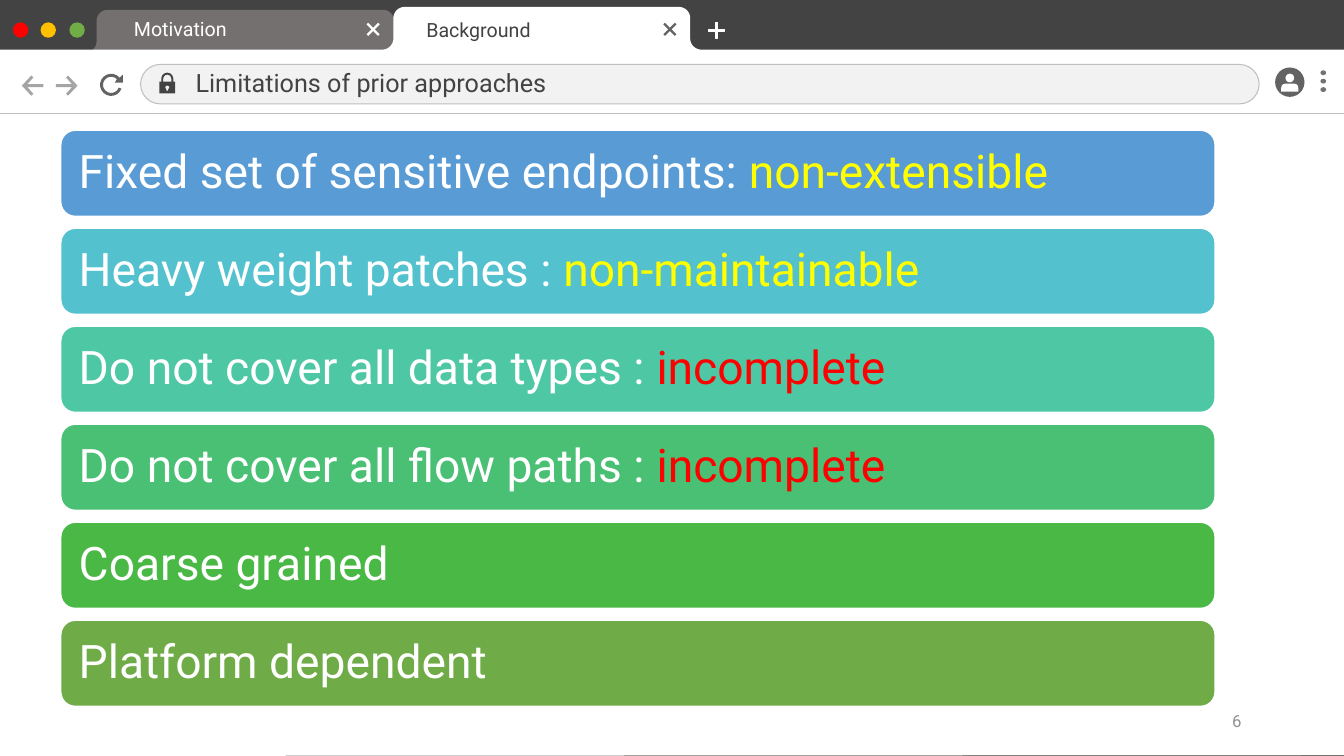
from math import cos, radians, sin

from lxml.etree import SubElement
from pptx import Presentation
from pptx.dml.color import RGBColor
from pptx.enum.shapes import MSO_CONNECTOR, MSO_SHAPE
from pptx.enum.text import MSO_ANCHOR, MSO_AUTO_SIZE, PP_ALIGN
from pptx.oxml.ns import qn
from pptx.util import Pt

FONT = "Roboto"
WHITE = RGBColor(0xFF, 0xFF, 0xFF)
YELLOW = RGBColor(0xFF, 0xFF, 0x00)
RED = RGBColor(0xFF, 0x00, 0x00)
AMBER = RGBColor(0xFF, 0xC0, 0x00)
GREEN = RGBColor(0x70, 0xAD, 0x47)
DARK = RGBColor(0x43, 0x43, 0x43)
TAB = RGBColor(0x75, 0x70, 0x70)
FIELD = RGBColor(0xF2, 0xF2, 0xF2)
EDGE = RGBColor(0xBF, 0xBF, 0xBF)
ARROW = RGBColor(0xA5, 0xA5, 0xA5)
ICON = RGBColor(0x63, 0x63, 0x63)
DOT = RGBColor(0x72, 0x72, 0x72)
NUMBER = RGBColor(0x91, 0x91, 0x91)
BLUE = RGBColor(0x59, 0x9B, 0xD5)
CYAN = RGBColor(0x53, 0xC1, 0xCE)
TEAL = RGBColor(0x4E, 0xC7, 0xA5)
MINT = RGBColor(0x49, 0xC0, 0x73)
LEAF = RGBColor(0x49, 0xB8, 0x45)
OLIVE = RGBColor(0x6F, 0xAB, 0x46)


def arc(x, y, radius, start, end, steps=16):
    """Points on a circle around (x, y), with clockwise angles in degrees."""
    turns = [radians(start + (end - start) * i / steps) for i in range(steps + 1)]
    return [(x + radius * cos(t), y + radius * sin(t)) for t in turns]


def paint(shape, fill, line=None, width=0.75):
    shape.shadow.inherit = False
    if fill is None:
        shape.fill.background()
    else:
        shape.fill.solid()
        shape.fill.fore_color.rgb = fill
    if line is None:
        shape.line.fill.background()
    else:
        shape.line.color.rgb = line
        shape.line.width = Pt(width)


deck = Presentation()
deck.slide_width, deck.slide_height = Pt(960), Pt(540)
slide = deck.slides.add_slide(deck.slide_layouts[5])
slide.background.fill.solid()
slide.background.fill.fore_color.rgb = DARK
shapes = slide.shapes

# Browser window: each tab flares out into the page below it
outlines = []
curve = 8
for left, right, top, base, foot, color in [
    (69, 281.5, 7, 37.5, 540, TAB),
    (281, 493, 5, 35.5, 539.3, WHITE),
]:
    points = arc(left - curve, base - curve, curve, 90, 0)
    points += arc(left + curve, top + curve, curve, 180, 270)
    points += arc(right - curve, top + curve, curve, 270, 360)
    points += arc(right + curve, base - curve, curve, 180, 90)
    points += [(960, base), (960, foot), (0, 540), (0, base)]
    outlines.append((points, color))

# Back and forward arrows
half = [(-7.8, 0), (-1, -7.2), (0.4, -5.8), (-3.8, -1.1), (7.6, -1.1)]
back = half + [(x, -y) for x, y in half[:0:-1]]
for middle, side in [(23.4, 1), (47.6, -1)]:
    outlines.append(([(middle + side * x, 61.2 + y) for x, y in back], ARROW))

# Reload
ring = arc(79.4, 60.6, 5.8, 315, 20) + arc(79.4, 60.6, 7.9, 20, 320)
outlines.append((ring + [(87.8, 53.3), (87.8, 59), (82, 59)], ICON))

for points, color in outlines:
    (x, y), *rest = [(Pt(a), Pt(b)) for a, b in points]
    pen = shapes.build_freeform(x, y)
    pen.add_line_segments(rest)
    paint(pen.convert_to_shape(), color)

# Preset shapes: kind, box, fill, line, line width, rotation, adjustment
oval, block = MSO_SHAPE.OVAL, MSO_SHAPE.RECTANGLE
cross, arch = MSO_SHAPE.CROSS, MSO_SHAPE.ROUND_2_SAME_RECTANGLE
parts = [
    (oval, (9.3, 16, 11, 11), RED, None, 0, 0, None),
    (oval, (29, 16, 11, 11), AMBER, None, 0, 0, None),
    (oval, (49.6, 16, 11, 11), GREEN, None, 0, 0, None),
    (cross, (260.7, 15.2, 11.6, 11.6), WHITE, None, 0, 45, 0.43),
    (cross, (472.7, 15.2, 11.6, 11.6), ICON, None, 0, 45, 0.43),
    (cross, (506.3, 16, 11.2, 11.2), WHITE, WHITE, 0.75, 0, 0.44),
    (MSO_SHAPE.ROUNDED_RECTANGLE, (100.4, 46, 799, 28.2), FIELD, EDGE, 0.75, 0, 0.5),
    # Padlock
    (arch, (115.9, 52.6, 7.2, 8), None, DARK, 1.4, 0, 0.5),
    (block, (113.8, 58.3, 11.4, 8.4), DARK, None, 0, 0, None),
    (oval, (118.1, 61.2, 2.8, 2.4), FIELD, None, 0, 0, None),
    (block, (118.9, 63, 1.2, 1.8), FIELD, None, 0, 0, None),
    # Account
    (oval, (910.8, 48.2, 21, 21), ICON, None, 0, 0, None),
    (oval, (918.2, 52.6, 6.2, 6.2), WHITE, None, 0, 0, None),
    (arch, (915.2, 59.8, 12.2, 5.6), WHITE, None, 0, 0, 0.5),
]
parts += [(oval, (943.2, 50.3 + 6 * i, 4, 3.4), DOT, None, 0, 0, None) for i in range(3)]
for kind, box, fill, line, width, turn, bend in parts:
    part = shapes.add_shape(kind, *map(Pt, box))
    paint(part, fill, line, width)
    part.rotation = turn
    if bend is not None:
        part.adjustments[0] = bend

rule = shapes.add_connector(MSO_CONNECTOR.STRAIGHT, Pt(0), Pt(81.4), Pt(960), Pt(81.4))
rule.line.color.rgb = EDGE
rule.line.width = Pt(0.75)
SubElement(rule.element.spPr, qn("a:effectLst"))

# Title in the address field, brought in front of the window
title = shapes.title
title.element.getparent().append(title.element)
title.left, title.top, title.width, title.height = Pt(132.5), Pt(48), Pt(756), Pt(24)

labels = [(title, "Limitations of prior approaches", 18, DARK, PP_ALIGN.LEFT, MSO_ANCHOR.MIDDLE)]
for box, text, size, color, align, anchor in [
    ((88.6, 8.6, 163, 24.2), "Motivation", 14, WHITE, PP_ALIGN.LEFT, MSO_ANCHOR.TOP),
    ((297.4, 9.4, 157, 24.2), "Background", 14, DARK, PP_ALIGN.LEFT, MSO_ANCHOR.TOP),
    ((678, 500.4, 216, 28.8), "6", 12, NUMBER, PP_ALIGN.RIGHT, MSO_ANCHOR.MIDDLE),
]:
    labels.append((shapes.add_textbox(*map(Pt, box)), text, size, color, align, anchor))
for label, text, size, color, align, anchor in labels:
    frame = label.text_frame
    frame.text = text
    frame.word_wrap = True
    frame.auto_size = MSO_AUTO_SIZE.NONE
    frame.vertical_anchor = anchor
    line = frame.paragraphs[0]
    line.alignment = align
    font = line.runs[0].font
    font.name, font.size, font.color.rgb = FONT, Pt(size), color
title.text_frame.paragraphs[0].line_spacing = 0.9

# Limitations
limits = [
    (BLUE, "Fixed set of sensitive endpoints: ", "non-extensible", YELLOW),
    (CYAN, "Heavy weight patches : ", "non-maintainable", YELLOW),
    (TEAL, "Do not cover all data types : ", "incomplete", RED),
    (MINT, "Do not cover all flow paths : ", "incomplete", RED),
    (LEAF, "Coarse grained", "", WHITE),
    (OLIVE, "Platform dependent", "", WHITE),
]
for i, (fill, text, verdict, accent) in enumerate(limits):
    bar = shapes.add_shape(
        MSO_SHAPE.ROUNDED_RECTANGLE, Pt(43.2), Pt(92.8 + 70 * i), Pt(825), Pt(62)
    )
    bar.adjustments[0] = 0.17
    paint(bar, fill, WHITE, 1.5)
    frame = bar.text_frame
    frame.word_wrap = True
    frame.vertical_anchor = MSO_ANCHOR.MIDDLE
    frame.margin_left = frame.margin_right = Pt(10)
    frame.margin_top = frame.margin_bottom = Pt(10)
    line = frame.paragraphs[0]
    line.alignment = PP_ALIGN.LEFT
    line.line_spacing = 0.9
    for words, color in [(text, WHITE), (verdict, accent)]:
        if words:
            run = line.add_run()
            run.text = words
            run.font.name, run.font.size, run.font.color.rgb = FONT, Pt(33), color

deck.save("out.pptx")
